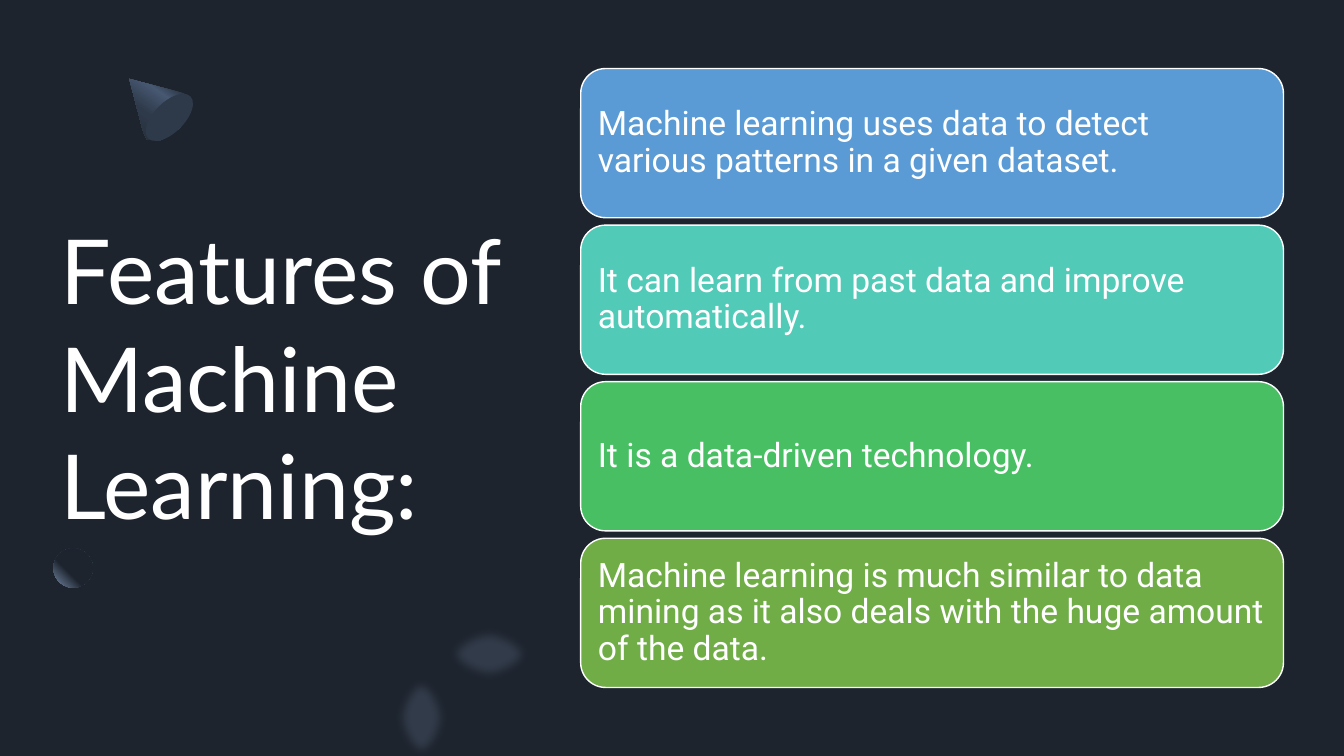
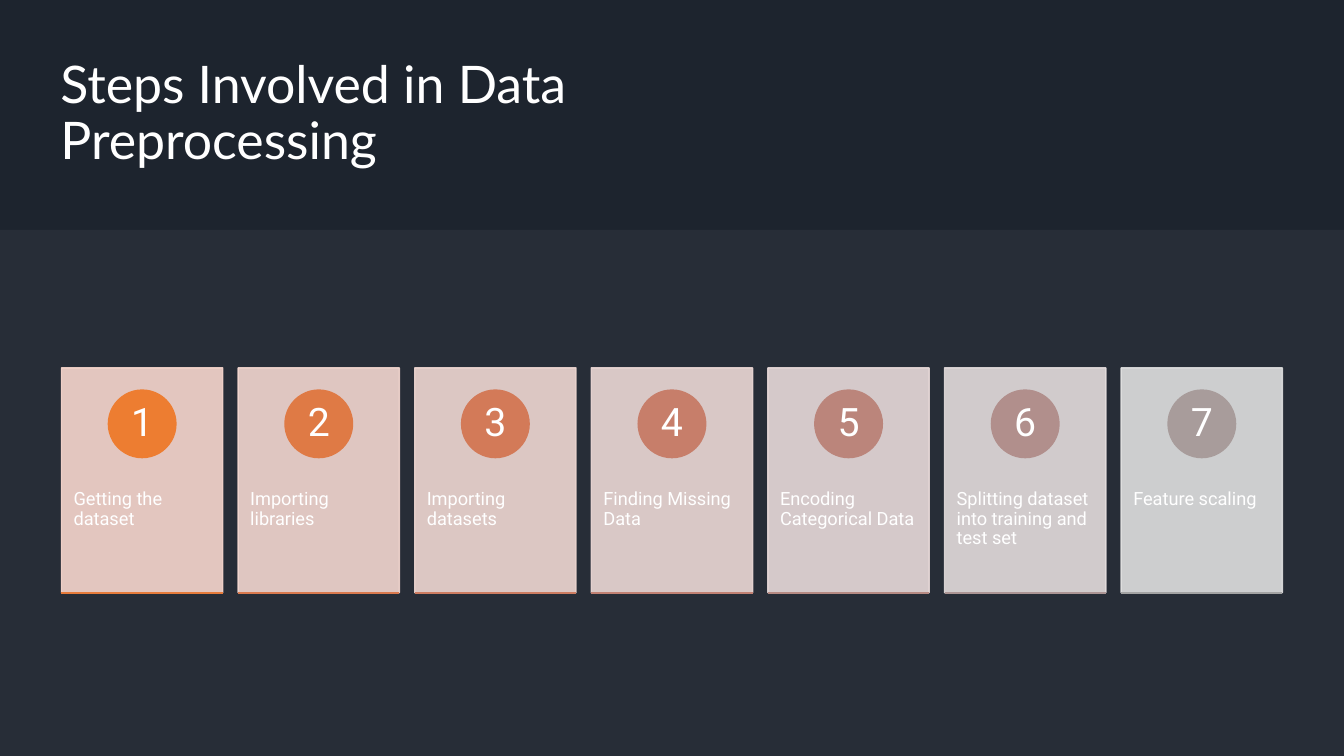
from dataclasses import dataclass

from lxml import etree
from pptx import Presentation
from pptx.dml.color import RGBColor
from pptx.enum import shapes, text
from pptx.oxml.ns import qn
from pptx.util import Inches, Pt


@dataclass(frozen=True)
class Theme:
    background: str = "1D242E"
    band: str = "E4E8EE"
    white: str = "FFFFFF"
    slate: str = "2E3949"
    slate_light: str = "475871"
    steel: str = "7A8EAB"
    glow: str = "343D4C"
    title_font: str = "Lato"
    body_font: str = "Roboto"
    hero_size: int = 64
    title_size: int = 37
    feature_size: int = 24
    number_size: int = 28
    step_size: int = 13


THEME = Theme()
WIDTH, HEIGHT = 13.33, 7.5
SHAPE = shapes.MSO_SHAPE
ANCHOR = text.MSO_ANCHOR
ALIGN = text.PP_ALIGN

FEATURES = [
    ("Machine learning uses data to detect various patterns in a given dataset.", "5B9BD5"),
    ("It can learn from past data and improve automatically.", "52CAB8"),
    ("It is a data-driven technology.", "49BF64"),
    ("Machine learning is much similar to data mining as it also deals with "
     "the huge amount of the data.", "70AD47"),
]

# Step, card colour, circle colour, underline colour
STEPS = [
    ("Getting the dataset", "F8D7CE", "ED7D31", "E67B3B"),
    ("Importing libraries", "F4D7D0", "DF7A45", "D9794E"),
    ("Importing datasets", "F0D8D3", "D37A58", "CD7C61"),
    ("Finding Missing Data", "EDD9D6", "C77E6A", "C18173"),
    ("Encoding Categorical Data", "E9DBDA", "BB857B", "B68A83"),
    ("Splitting dataset into training and test set", "E4DDDD", "B18F8C", "AC9594"),
    ("Feature scaling", "E0E0E0", "A89C9B", "A3A3A3"),
]


def rgb(color):
    return RGBColor.from_string(color)


def spread(first, last, count):
    """Equally spaced positions from first to last."""
    return [first + index * (last - first) / (count - 1) for index in range(count)]


def write(shape, words, *, size, font=THEME.body_font, color=THEME.white,
          align=ALIGN.LEFT, anchor=ANCHOR.MIDDLE, spacing=0.9, insets=(0, 0, 0, 0)):
    """Insets run left, top, right, bottom, in inches."""
    frame = shape.text_frame
    frame.word_wrap = True
    frame.auto_size = text.MSO_AUTO_SIZE.NONE
    frame.vertical_anchor = anchor
    (frame.margin_left, frame.margin_top,
     frame.margin_right, frame.margin_bottom) = map(Inches, insets)
    paragraph = frame.paragraphs[0]
    paragraph.alignment = align
    paragraph.line_spacing = spacing
    run = paragraph.add_run()
    run.text = words
    run.font.name = font
    run.font.size = Pt(size)
    run.font.color.rgb = rgb(color)


def paint(shape, fill, line=None, opacity=100):
    shape.shadow.inherit = False
    shape.fill.solid()
    shape.fill.fore_color.rgb = rgb(fill)
    if line:
        shape.line.color.rgb = rgb(line)
        shape.line.width = Pt(1)
    else:
        shape.line.fill.background()
    if opacity < 100:
        for color in shape._element.spPr.iter(qn("a:srgbClr")):
            etree.SubElement(color, qn("a:alpha"), val=str(opacity * 1000))


def add_box(slide, kind, at, fill, line=None, opacity=100):
    shape = slide.shapes.add_shape(kind, *map(Inches, at))
    paint(shape, fill, line, opacity)
    return shape


def add_gradient(shape, stops, angle=None, focus=None):
    """Linear at a clockwise angle, or circular from a focus (l, t, r, b in percent)."""
    shape.fill.gradient()
    gradient = shape._element.spPr.find(qn("a:gradFill"))
    gradient.set("rotWithShape", "1")
    for child in list(gradient):
        gradient.remove(child)
    stop_list = etree.SubElement(gradient, qn("a:gsLst"))
    for position, color in stops:
        stop = etree.SubElement(stop_list, qn("a:gs"), pos=str(position * 1000))
        etree.SubElement(stop, qn("a:srgbClr"), val=color)
    if focus is None:
        etree.SubElement(gradient, qn("a:lin"), ang=str(angle * 60000), scaled="0")
    else:
        circle = etree.SubElement(gradient, qn("a:path"), {"path": "circle"})
        edges = {side: str(value * 1000) for side, value in zip("ltrb", focus)}
        etree.SubElement(circle, qn("a:fillToRect"), edges)


def add_glow(slide, at, radius):
    glow = add_box(slide, SHAPE.OVAL, at, THEME.glow)
    effects = glow._element.spPr.find(qn("a:effectLst"))
    etree.SubElement(effects, qn("a:softEdge"), rad=str(Inches(radius)))


def add_rule(slide, left, top, width, color):
    rule = slide.shapes.add_connector(
        shapes.MSO_CONNECTOR.STRAIGHT, *map(Inches, (left, top, left + width, top)))
    rule.line.color.rgb = rgb(color)
    rule.line.width = Pt(1.5)
    etree.SubElement(rule._element.spPr, qn("a:effectLst"))


def add_titled_slide(deck, words, at, size, spacing):
    slide = deck.slides.add_slide(deck.slide_layouts.get_by_name("Title Only"))
    title = slide.shapes.title
    title.left, title.top, title.width, title.height = map(Inches, at)
    write(title, words, size=size, font=THEME.title_font, spacing=spacing)
    return slide


def add_cone(slide):
    center_x, center_y = 1.53, 1.03
    right_side = [(0.28, 0.13), (0.3, 0.2), (0.21, 0.3)]
    left_side = [(-x, y) for x, y in reversed(right_side)]
    outline = [(0, -0.35), *right_side, (0, 0.35), *left_side]
    points = [(Inches(center_x + x), Inches(center_y + y)) for x, y in outline]
    builder = slide.shapes.build_freeform(*points[0])
    builder.add_line_segments(points[1:])
    side = builder.convert_to_shape()
    paint(side, THEME.slate)
    add_gradient(side, [(30, THEME.slate), (40, THEME.slate_light),
                        (60, THEME.slate), (100, THEME.background)], angle=170)
    side.rotation = 315
    base = add_box(slide, SHAPE.OVAL, (1.53, 0.87, 0.3, 0.59), THEME.slate)
    base.rotation = 45


def add_ball(slide):
    ball = add_box(slide, SHAPE.OVAL, (0.53, 5.44, 0.39, 0.39), THEME.background)
    add_gradient(ball, [(60, THEME.background), (100, THEME.steel)],
                 focus=(100, 0, 0, 100))


def build_features(deck):
    slide = add_titled_slide(deck, "Features of Machine Learning:",
                             (0.6, 1.67, 4.96, 4.13), THEME.hero_size, 1.0)
    add_cone(slide)
    add_ball(slide)
    add_glow(slide, (4.4, 6.2, 0.9, 0.58), 0.1)
    add_glow(slide, (3.89, 6.67, 0.58, 0.9), 0.1)

    tops = spread(0.68, 5.34, len(FEATURES))
    for top, (feature, color) in zip(tops, FEATURES):
        panel = add_box(slide, SHAPE.ROUNDED_RECTANGLE, (5.76, top, 6.97, 1.48),
                        color, line=THEME.white)
        write(panel, feature, size=THEME.feature_size, insets=(0.1,) * 4)


def add_step(slide, number, left, step, card_color, circle_color, rule_color):
    top, width, height, diameter = 3.65, 1.6, 2.23, 0.67
    card = add_box(slide, SHAPE.RECTANGLE, (left, top, width, height),
                   card_color, line=card_color, opacity=90)
    write(card, step, size=THEME.step_size, anchor=ANCHOR.TOP,
          insets=(0.12, 1.21, 0.12, 0.4))
    circle = add_box(slide, SHAPE.OVAL,
                     (left + (width - diameter) / 2, top + 0.22, diameter, diameter),
                     circle_color, line=circle_color)
    write(circle, str(number), size=THEME.number_size, align=ALIGN.CENTER)
    add_rule(slide, left, top + height, width, rule_color)


def build_steps(deck):
    slide = add_titled_slide(deck, "Steps Involved in Data Preprocessing",
                             (0.6, 0.6, 7.99, 1.08), THEME.title_size, 0.9)
    band_top = 2.28
    add_box(slide, SHAPE.RECTANGLE, (0, band_top, WIDTH, HEIGHT - band_top),
            THEME.band, opacity=5)

    lefts = spread(0.61, 11.12, len(STEPS))
    for number, (left, step) in enumerate(zip(lefts, STEPS), start=1):
        add_step(slide, number, left, *step)


def main():
    deck = Presentation()
    deck.slide_width, deck.slide_height = Inches(WIDTH), Inches(HEIGHT)
    backdrop = deck.slide_master.background.fill
    backdrop.solid()
    backdrop.fore_color.rgb = rgb(THEME.background)
    build_features(deck)
    build_steps(deck)
    deck.save("out.pptx")


if __name__ == "__main__":
    main()
